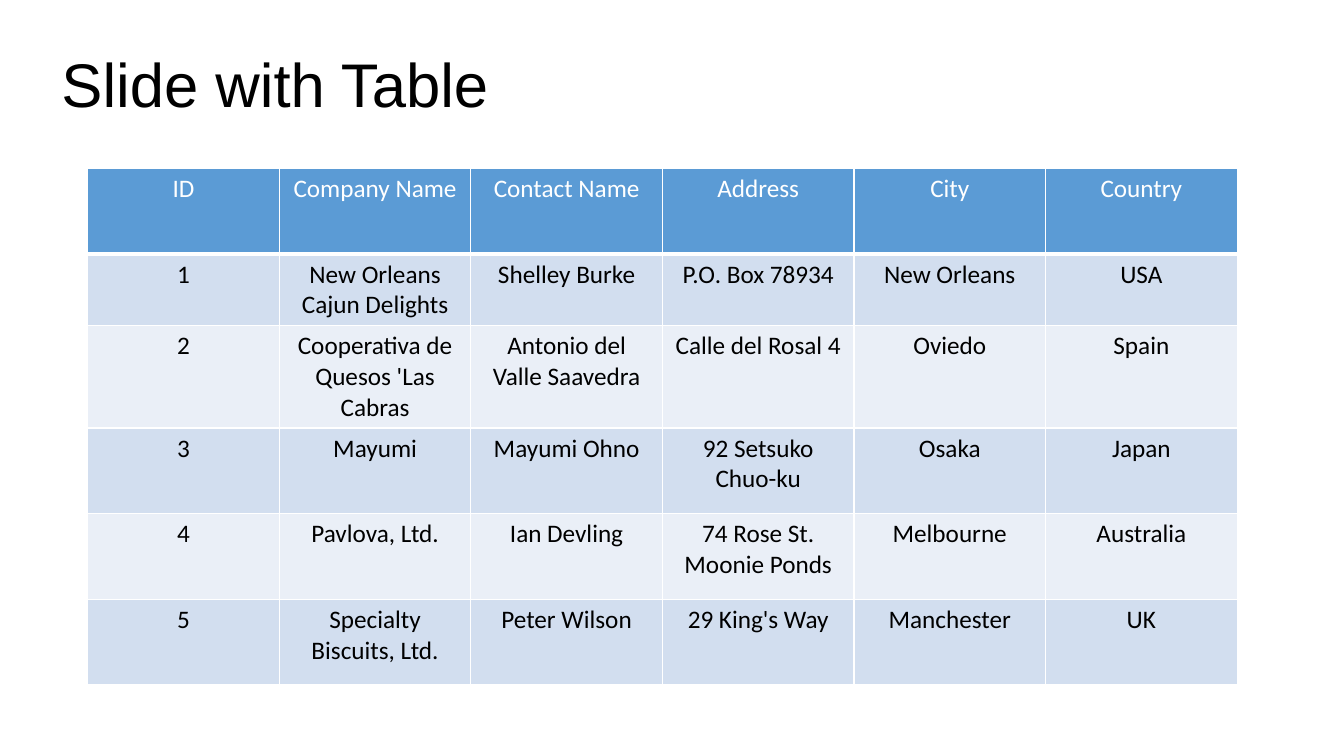
from lxml import etree
from pptx import Presentation
from pptx.dml.color import RGBColor
from pptx.enum.text import MSO_ANCHOR, MSO_AUTO_SIZE, PP_ALIGN
from pptx.oxml.ns import qn
from pptx.util import Inches, Pt

LEFT, CENTER = PP_ALIGN.LEFT, PP_ALIGN.CENTER
MIDDLE, NO_AUTOFIT = MSO_ANCHOR.MIDDLE, MSO_AUTO_SIZE.NONE
TITLE_ONLY = 5

BLACK, WHITE = "000000", "FFFFFF"
HEADER_FILL = "5B9BD5"
BAND_FILLS = ["EAEFF7", "D2DEEF"]

COLUMN_WIDTH, ROW_HEIGHT, FIRST_RECORD_HEIGHT = 1.9, 0.85, 0.71
SUPPLIERS = [
    ["ID", "Company Name", "Contact Name", "Address", "City", "Country"],
    ["1", "New Orleans Cajun Delights", "Shelley Burke", "P.O. Box 78934", "New Orleans", "USA"],
    ["2", "Cooperativa de Quesos 'Las Cabras", "Antonio del Valle Saavedra",
     "Calle del Rosal 4", "Oviedo", "Spain"],
    ["3", "Mayumi", "Mayumi Ohno", "92 Setsuko Chuo-ku", "Osaka", "Japan"],
    ["4", "Pavlova, Ltd.", "Ian Devling", "74 Rose St. Moonie Ponds", "Melbourne", "Australia"],
    ["5", "Specialty Biscuits, Ltd.", "Peter Wilson", "29 King's Way", "Manchester", "UK"],
]


def color(hex_value):
    """Turn a hex string into a colour."""
    return RGBColor.from_string(hex_value)


def write(frame, text, font="Calibri", size=18, ink=BLACK, align=CENTER, spacing=1.0):
    """Put one formatted paragraph into a text frame."""
    para = frame.paragraphs[0]
    para.alignment, para.line_spacing = align, spacing
    span = para.add_run()
    span.text = text
    span.font.name, span.font.size = font, Pt(size)
    span.font.color.rgb = color(ink)


deck = Presentation()
deck.slide_width, deck.slide_height = Inches(13.33), Inches(7.5)
page = deck.slides.add_slide(deck.slide_layouts[TITLE_ONLY])

title = page.shapes.title
title.left, title.top = Inches(0.51), Inches(0.34)
title.width, title.height = Inches(11.32), Inches(1.06)
title.text_frame.vertical_anchor = MIDDLE
title.text_frame.auto_size = NO_AUTOFIT
write(title.text_frame, "Slide with Table", font="Arial", size=44, align=LEFT, spacing=0.9)

row_count, column_count = len(SUPPLIERS), len(SUPPLIERS[0])
table = page.shapes.add_table(
    row_count, column_count, Inches(0.87), Inches(1.67),
    Inches(column_count * COLUMN_WIDTH), Inches(row_count * ROW_HEIGHT)).table
for column in table.columns:
    column.width = Inches(COLUMN_WIDTH)

for row_index, record in enumerate(SUPPLIERS):
    is_header = row_index == 0
    height = FIRST_RECORD_HEIGHT if row_index == 1 else ROW_HEIGHT
    table.rows[row_index].height = Inches(height)
    for column_index, text in enumerate(record):
        cell = table.cell(row_index, column_index)
        write(cell.text_frame, text, ink=WHITE if is_header else BLACK)

        properties = cell._tc.get_or_add_tcPr()
        for side in ("lnL", "lnR", "lnT", "lnB"):
            width = Pt(3 if is_header and side == "lnB" else 1)
            border = etree.SubElement(properties, qn(f"a:{side}"), w=str(width))
            border_fill = etree.SubElement(border, qn("a:solidFill"))
            etree.SubElement(border_fill, qn("a:srgbClr"), val=WHITE)

        cell.fill.solid()
        cell.fill.fore_color.rgb = color(HEADER_FILL if is_header else BAND_FILLS[row_index % 2])

deck.save("out.pptx")
